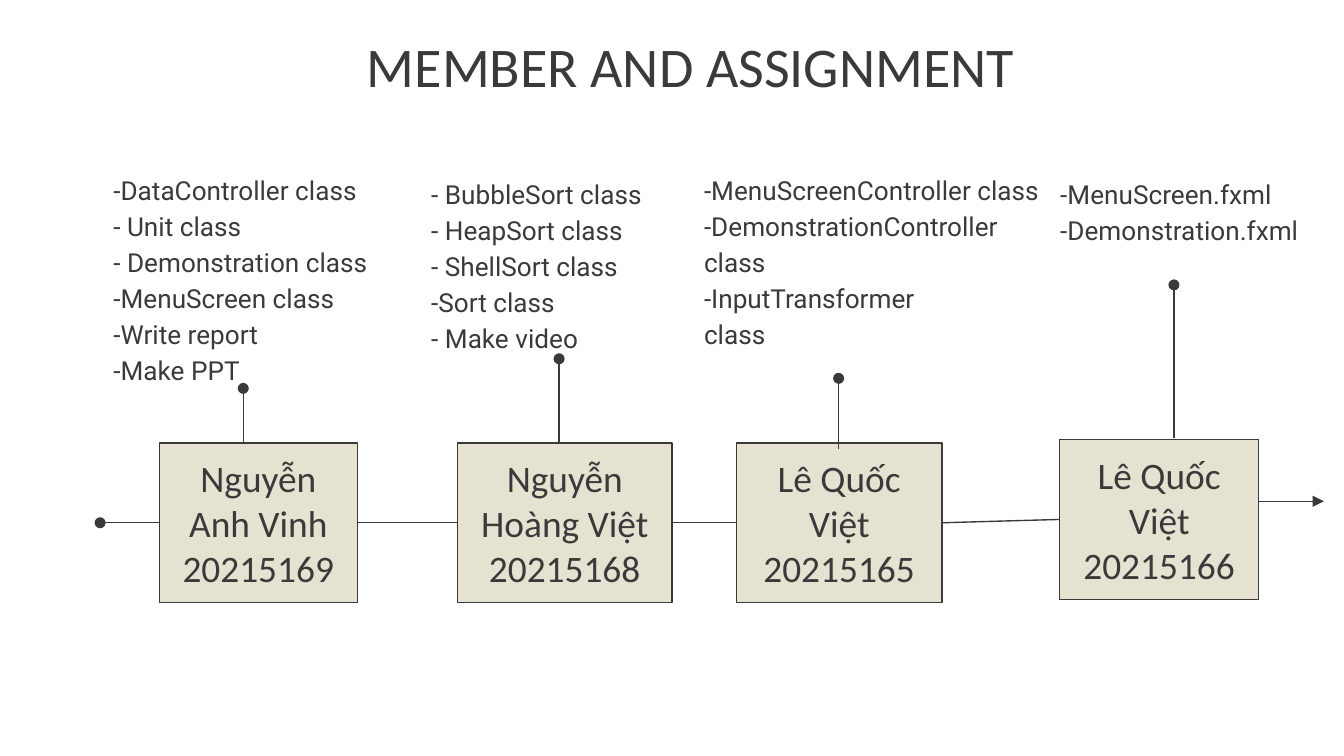
from dataclasses import dataclass
from itertools import pairwise
from typing import Optional

from lxml.etree import SubElement
from pptx import Presentation
from pptx.dml.color import RGBColor
from pptx.enum.shapes import MSO_CONNECTOR, MSO_SHAPE
from pptx.enum.text import MSO_ANCHOR, MSO_AUTO_SIZE, PP_ALIGN
from pptx.oxml.ns import qn
from pptx.shapes.autoshape import Shape
from pptx.shapes.connector import Connector
from pptx.slide import Slide
from pptx.util import Pt

PX = 4572  # EMU in one px, 200 px to the inch
COLORS = {"ink": "3A3A3A", "card": "E6E2D2", "page": "FFFFFF"}
INSET = 20
LEFT_SIDE, RIGHT_SIDE = 1, 3
CARD_HEIGHT = 238

TITLE_FORMAT = {"name": "Calibri", "size": Pt(30)}
TASK_FORMAT = {"name": "Roboto", "size": Pt(14)}
CARD_FORMAT = {"name": "Calibri", "size": Pt(20)}


@dataclass(frozen=True)
class Box:
    left: int
    top: int
    width: int
    height: int

    def emu(self) -> tuple[int, ...]:
        return tuple(v * PX for v in (self.left, self.top, self.width, self.height))


@dataclass(frozen=True)
class Member:
    name: str
    student_id: str
    card: Box
    tasks: tuple[str, ...]
    task_box: Box
    stem_x: int
    stem_bottom: int
    stem_top: int


MEMBERS = (
    Member("Nguyễn Anh Vinh", "20215169", Box(237, 659, 295, CARD_HEIGHT),
           ("-DataController class", "- Unit class", "- Demonstration class",
            "-MenuScreen class", "-Write report", "-Make PPT"),
           Box(149, 233, 510, 152), 362, 659, 578),
    Member("Nguyễn Hoàng Việt", "20215168", Box(681, 659, 319, CARD_HEIGHT),
           ("- BubbleSort class", "- HeapSort class", "- ShellSort class",
            "-Sort class", "- Make video"),
           Box(622, 238, 510, 140), 832, 659, 534),
    Member("Lê Quốc Việt", "20215165", Box(1096, 659, 306, CARD_HEIGHT),
           ("-MenuScreenController class", "-DemonstrationController class",
            "-InputTransformer", "class"),
           Box(1028, 233, 554, 140), 1248, 668, 563),
    Member("Lê Quốc Việt", "20215166", Box(1577, 654, 296, CARD_HEIGHT),
           ("-MenuScreen.fxml", "-Demonstration.fxml"),
           Box(1558, 239, 510, 140), 1747, 652, 424),
)


def color(key: str) -> RGBColor:
    return RGBColor.from_string(COLORS[key])


def write(shape: Shape, lines: tuple[str, ...], font_format: dict,
          align: PP_ALIGN = PP_ALIGN.LEFT, anchor: MSO_ANCHOR = MSO_ANCHOR.TOP,
          spacing: float = 1.0) -> None:
    frame = shape.text_frame
    frame.word_wrap = True
    frame.auto_size = MSO_AUTO_SIZE.NONE
    frame.vertical_anchor = anchor
    for side in ("left", "top", "right", "bottom"):
        setattr(frame, f"margin_{side}", INSET * PX)
    frame.text = "\n".join(lines)
    for paragraph in frame.paragraphs:
        paragraph.alignment = align
        paragraph.line_spacing = spacing
        for run in paragraph.runs:
            for attribute, value in font_format.items():
                setattr(run.font, attribute, value)
            run.font.color.rgb = color("ink")


def add_title(slide: Slide, text: str, box: Box) -> None:
    title = slide.shapes.title
    title.left, title.top, title.width, title.height = box.emu()
    write(title, (text,), TITLE_FORMAT, PP_ALIGN.CENTER)


def add_tasks(slide: Slide, member: Member) -> None:
    tasks = slide.shapes.add_textbox(*member.task_box.emu())
    write(tasks, member.tasks, TASK_FORMAT, spacing=1.15)


def add_card(slide: Slide, member: Member) -> Shape:
    card = slide.shapes.add_shape(MSO_SHAPE.RECTANGLE, *member.card.emu())
    card.shadow.inherit = False
    card.fill.solid()
    card.fill.fore_color.rgb = color("card")
    card.line.color.rgb = color("ink")
    card.line.width = Pt(0.75)
    write(card, (member.name, member.student_id), CARD_FORMAT,
          PP_ALIGN.CENTER, MSO_ANCHOR.MIDDLE)
    return card


def add_line(slide: Slide, start: tuple[int, int], end: tuple[int, int],
             end_mark: Optional[str] = None) -> Connector:
    """Draw a straight line, with an arrowhead type at its end if one is given."""
    points = (v * PX for v in (*start, *end))
    line = slide.shapes.add_connector(MSO_CONNECTOR.STRAIGHT, *points)
    line.line.color.rgb = color("ink")
    line.line.width = Pt(0.75)
    if end_mark:
        SubElement(line.line._get_or_add_ln(), qn("a:tailEnd"), type=end_mark)
    SubElement(line._element.spPr, qn("a:effectLst"))
    return line


def add_timeline(slide: Slide, cards: list[Shape]) -> None:
    first = MEMBERS[0].card
    lead_y = first.top + CARD_HEIGHT // 2
    lead_in = add_line(slide, (first.left, lead_y), (149, lead_y), "oval")
    lead_in.begin_connect(cards[0], LEFT_SIDE)
    for previous, following in pairwise(cards):
        link = add_line(slide, (0, 0), (0, 0))
        link.begin_connect(following, LEFT_SIDE)
        link.end_connect(previous, RIGHT_SIDE)
    add_line(slide, (1873, 746), (1970, 746), "triangle")


def main() -> None:
    presentation = Presentation()
    presentation.slide_width = 2000 * PX
    presentation.slide_height = 1125 * PX
    slide = presentation.slides.add_slide(presentation.slide_layouts[5])
    slide.background.fill.solid()
    slide.background.fill.fore_color.rgb = color("page")

    add_title(slide, "MEMBER AND ASSIGNMENT", Box(184, 27, 1688, 130))
    for member in MEMBERS:
        add_tasks(slide, member)
    cards = [add_card(slide, member) for member in MEMBERS]
    for member in MEMBERS:
        add_line(slide, (member.stem_x, member.stem_bottom),
                 (member.stem_x, member.stem_top), "oval")
    add_timeline(slide, cards)
    presentation.save("out.pptx")


if __name__ == "__main__":
    main()
